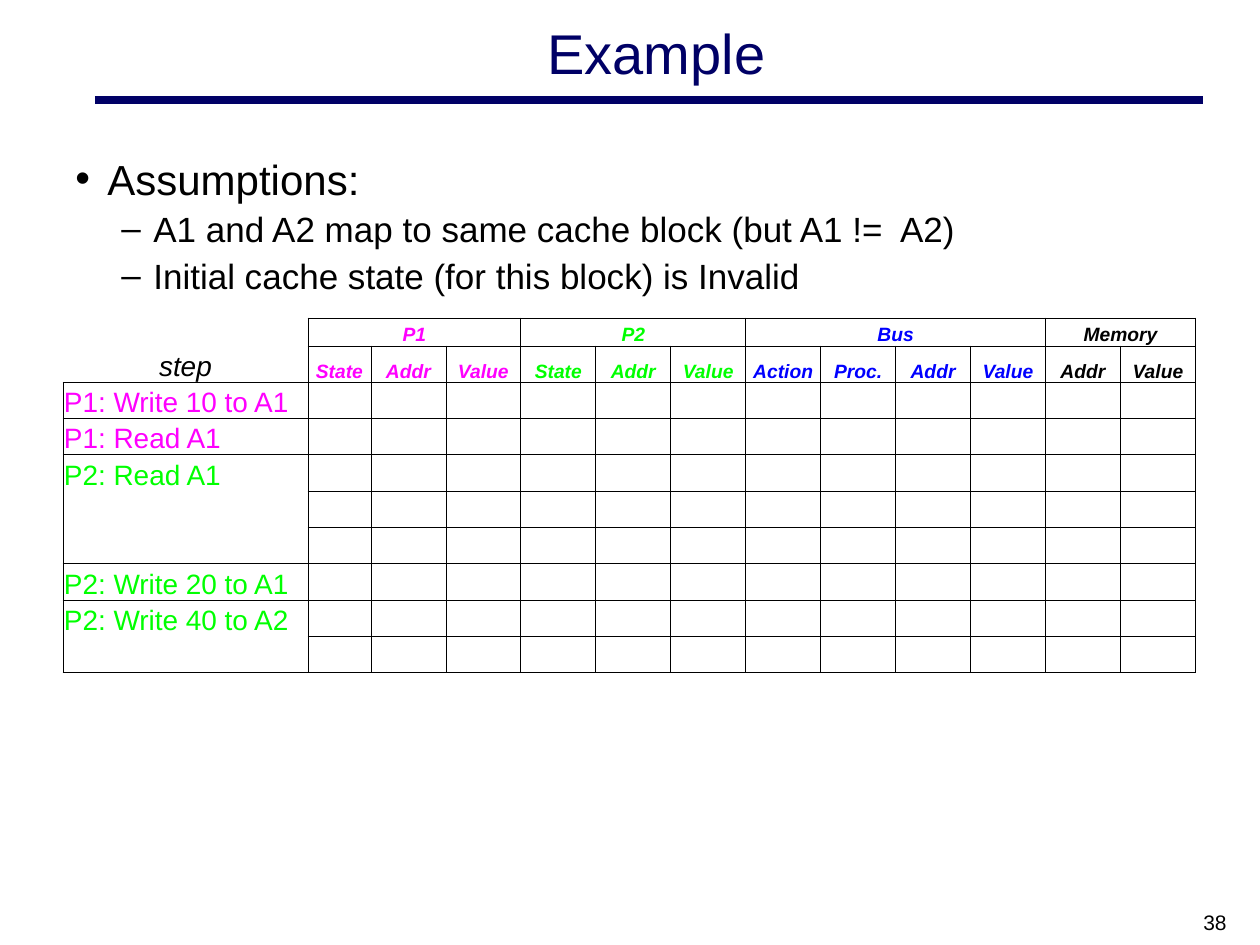
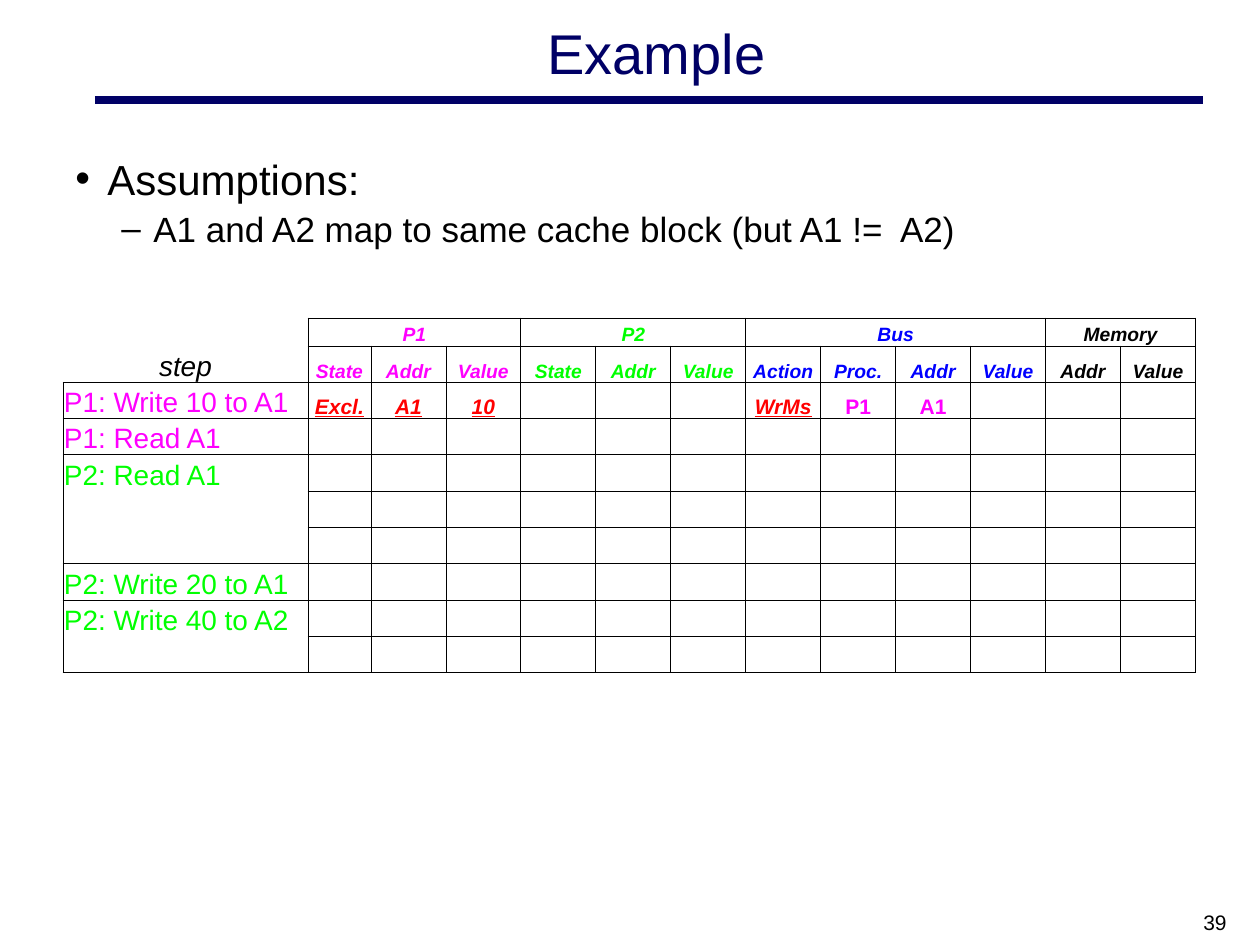
import pptx
import pptx.util
import pptx.dml.color
import pptx.enum.shapes
import pptx.enum.text
import pptx.oxml.ns
import lxml.etree
import itertools

PX = 914400 / 126
FONT = "Arial"
COLORS = {
    "navy": "000066", "black": "000000", "p1": "FF00FF",
    "p2": "00FF00", "bus": "0000FF", "new": "FF0000",
}
ALIGN = pptx.enum.text.PP_ALIGN
ANCHOR = pptx.enum.text.MSO_ANCHOR

TITLE_BOX = (116, 10, 1081, 84)
RULE_BOX = (95, 100, 1108, 0)
ASSUMPTIONS_BOX = (63, 147, 1134, 697)
NUMBER_BOX = (945, 903, 294, 32)
TRACE_BOX = (63, 318, 1133, 355)

GROUPS = [
    ("P1", "p1", ["State", "Addr", "Value"]),
    ("P2", "p2", ["State", "Addr", "Value"]),
    ("Bus", "bus", ["Action", "Proc.", "Addr", "Value"]),
    ("Memory", "black", ["Addr", "Value"]),
]
STEPS = [
    ("P1: Write 10 to A1", "p1", 1),
    ("P1: Read A1", "p1", 1),
    ("P2: Read A1", "p2", 3),
    ("P2: Write 20 to A1", "p2", 1),
    ("P2: Write 40 to A2", "p2", 2),
]
STEP_WIDTH, FIRST_STATE_WIDTH, FIELD_WIDTH = 245, 63, 75
GROUP_ROW_HEIGHT = 28
HEADER_ROWS = 2

ASSUMPTIONS = [
    "A1 and A2 map to same cache block (but A1 !=  A2)",
    "Initial cache state (for this block) is Invalid",
]
FIRST_WRITE = {
    1: ("Excl.", "new"), 2: ("A1", "new"), 3: ("10", "new"),
    7: ("WrMs", "new"), 8: ("P1", "p1"), 9: ("A1", "p1"),
}


def px(length):
    return pptx.util.Emu(round(length * PX))


def color(name):
    return pptx.dml.color.RGBColor.from_string(COLORS[name])


def write(paragraph, text, size, color_name, align=ALIGN.LEFT, bold=False, italic=False, underline=False):
    paragraph.text = text
    paragraph.alignment = align
    font = paragraph.runs[0].font
    font.name, font.size = FONT, pptx.util.Pt(size)
    font.bold, font.italic, font.underline = bold, italic, underline
    font.color.rgb = color(color_name)


def add_frame(slide, box, anchor=ANCHOR.TOP):
    frame = slide.shapes.add_textbox(*map(px, box)).text_frame
    frame.word_wrap = True
    frame.vertical_anchor = anchor
    return frame


def add_title(slide, box, rule_box):
    left, top, width, height = rule_box
    rule = slide.shapes.add_connector(
        pptx.enum.shapes.MSO_CONNECTOR.STRAIGHT,
        px(left), px(top), px(left + width), px(top + height))
    rule.line.color.rgb = color("navy")
    rule.line.width = pptx.util.Pt(4.5)
    lxml.etree.SubElement(rule._element.spPr, pptx.oxml.ns.qn("a:effectLst"))
    title = add_frame(slide, box, ANCHOR.MIDDLE)
    write(title.paragraphs[0], "Example", 32, "navy", ALIGN.CENTER)


def add_bullet(paragraph, text, level):
    size, mark, margin = [(24, "•", 32), (20, "–", 78)][level]
    write(paragraph, text, size, "black")
    paragraph.level = level
    paragraph.space_before = pptx.util.Pt(size * 0.12)
    properties = paragraph._p.get_or_add_pPr()
    properties.set("marL", str(px(margin)))
    properties.set("indent", str(px(-32)))
    lxml.etree.SubElement(properties, pptx.oxml.ns.qn("a:buFont"), typeface=FONT)
    lxml.etree.SubElement(properties, pptx.oxml.ns.qn("a:buChar"), char=mark)


def add_assumptions(slide, box, assumptions):
    body = add_frame(slide, box)
    add_bullet(body.paragraphs[0], "Assumptions:", 0)
    for assumption in assumptions:
        add_bullet(body.add_paragraph(), assumption, 1)


def add_number(slide, box, number):
    write(add_frame(slide, box).paragraphs[0], str(number), 12, "black", ALIGN.RIGHT)


def style_cell(cell, sides):
    cell.vertical_anchor = ANCHOR.BOTTOM
    cell.margin_left = cell.margin_right = cell.margin_top = px(1)
    cell.margin_bottom = 0
    properties = cell._tc.get_or_add_tcPr()
    for side in "LRTB":
        border = lxml.etree.SubElement(
            properties, pptx.oxml.ns.qn(f"a:ln{side}"), w=str(pptx.util.Pt(0.5)))
        if side in sides:
            fill = lxml.etree.SubElement(border, pptx.oxml.ns.qn("a:solidFill"))
            lxml.etree.SubElement(fill, pptx.oxml.ns.qn("a:srgbClr"), val=COLORS["black"])
        else:
            lxml.etree.SubElement(border, pptx.oxml.ns.qn("a:noFill"))
    cell.fill.background()
    lxml.etree.SubElement(
        cell.text_frame.paragraphs[0]._p, pptx.oxml.ns.qn("a:endParaRPr"), sz="1100")


def step_sides():
    yield "R"
    yield "RB"
    for _, _, lines in STEPS:
        for line in range(lines):
            yield "LR" + "T" * (line == 0) + "B" * (line == lines - 1)


def fill_headers(trace):
    write(trace.cell(1, 0).text_frame.paragraphs[0], "step", 16, "black", ALIGN.CENTER, italic=True)
    column = 1
    for name, group_color, fields in GROUPS:
        group = trace.cell(0, column)
        group.merge(trace.cell(0, column + len(fields) - 1))
        headings = [(group, name)]
        headings += [(trace.cell(1, column + i), field) for i, field in enumerate(fields)]
        for cell, heading in headings:
            write(cell.text_frame.paragraphs[0], heading, 11, group_color, ALIGN.CENTER, True, True)
        column += len(fields)


def fill_steps(trace):
    row = HEADER_ROWS
    for step, step_color, lines in STEPS:
        write(trace.cell(row, 0).text_frame.paragraphs[0], step, 16, step_color)
        row += lines


def add_trace(slide, box, first_write):
    field_count = sum(len(fields) for _, _, fields in GROUPS)
    row_count = HEADER_ROWS + sum(lines for _, _, lines in STEPS)
    trace = slide.shapes.add_table(row_count, field_count + 1, *map(px, box)).table
    trace.first_row = trace.horz_banding = False

    widths = [STEP_WIDTH, FIRST_STATE_WIDTH] + [FIELD_WIDTH] * (field_count - 1)
    for column, width in zip(trace.columns, widths):
        column.width = px(width)
    line_height = (box[3] - GROUP_ROW_HEIGHT) / (row_count - 1)
    for index, row in enumerate(trace.rows):
        row.height = px(line_height if index else GROUP_ROW_HEIGHT)

    for row, sides in enumerate(step_sides()):
        style_cell(trace.cell(row, 0), sides)
    for row, column in itertools.product(range(row_count), range(1, field_count + 1)):
        style_cell(trace.cell(row, column), "LRTB")

    fill_headers(trace)
    fill_steps(trace)
    for column, (value, value_color) in first_write.items():
        is_new = value_color == "new"
        write(trace.cell(HEADER_ROWS, column).text_frame.paragraphs[0], value, 12,
              value_color, ALIGN.CENTER, True, is_new, is_new)


def add_example(deck, number, assumptions, first_write):
    slide = deck.slides.add_slide(deck.slide_layouts[6])
    add_title(slide, TITLE_BOX, RULE_BOX)
    add_assumptions(slide, ASSUMPTIONS_BOX, assumptions)
    add_number(slide, NUMBER_BOX, number)
    add_trace(slide, TRACE_BOX, first_write)


def main():
    deck = pptx.Presentation()
    deck.slide_width, deck.slide_height = px(1260), px(945)
    add_example(deck, 38, ASSUMPTIONS, {})
    add_example(deck, 39, ASSUMPTIONS[:1], FIRST_WRITE)
    deck.save("out.pptx")


if __name__ == "__main__":
    main()
